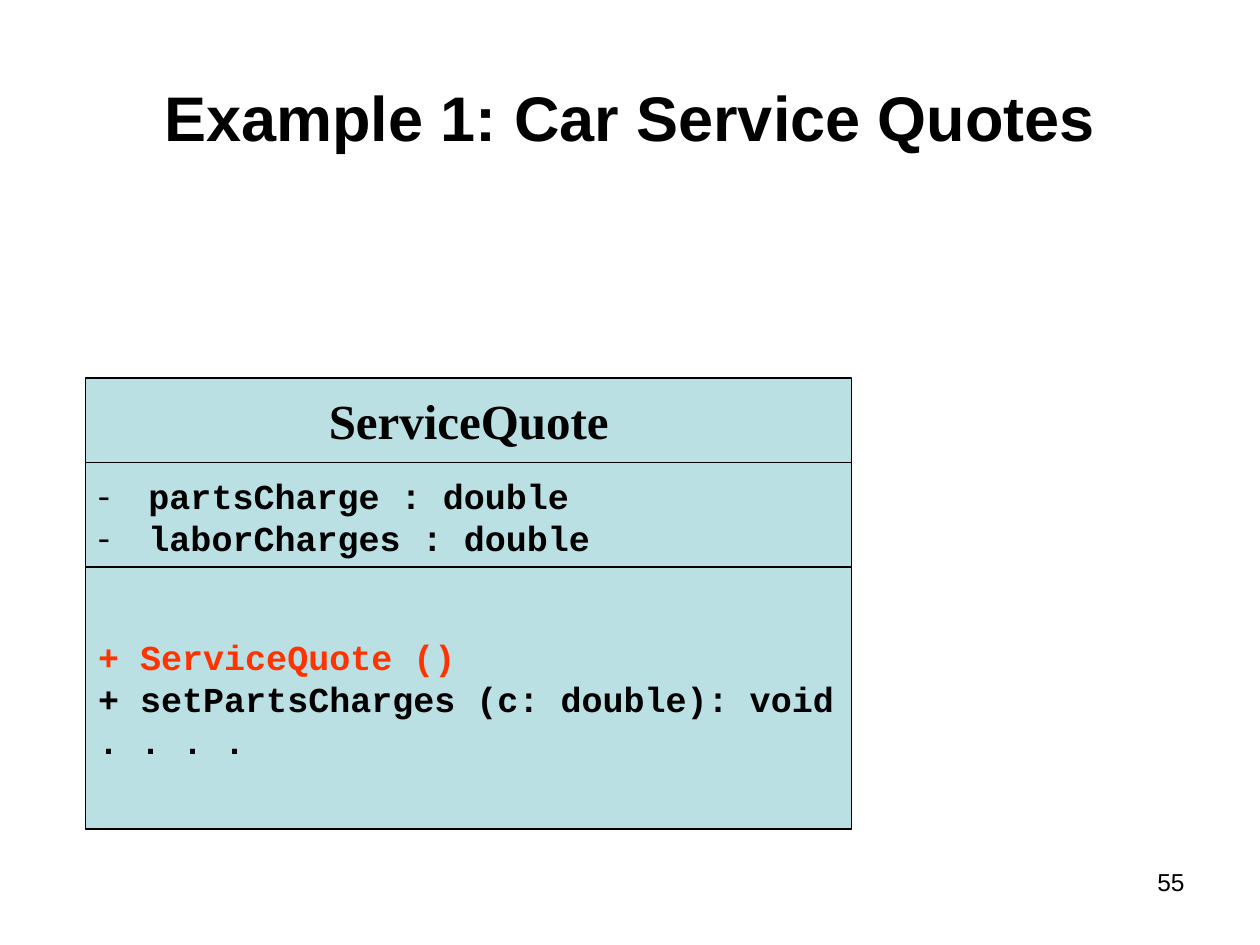
from lxml import etree
from pptx import Presentation
from pptx.dml.color import RGBColor
from pptx.enum.shapes import MSO_SHAPE as Shape
from pptx.enum.text import MSO_ANCHOR as Anchor, PP_ALIGN as Align
from pptx.oxml.ns import qn
from pptx.util import Inches, Pt

BLACK, RED, PALE_BLUE = "000000", "FF3300", "BBE0E3"


def color(value):
    return RGBColor.from_string(value)


def add_dash(para, indent):
    """Give a paragraph a dash bullet with a hanging indent."""
    props = para._p.get_or_add_pPr()
    props.set("marL", str(indent))
    props.set("indent", str(-indent))
    etree.SubElement(props, qn("a:buFont")).set("typeface", "Times New Roman")
    etree.SubElement(props, qn("a:buChar")).set("char", "-")


def write(frame, text, *, size, font="Arial", bold=False, align=Align.LEFT,
          anchor=Anchor.MIDDLE, wrap=True, dashes=False, first_color=BLACK):
    """Write one paragraph for each line of text."""
    frame.word_wrap = wrap
    frame.vertical_anchor = anchor
    for number, line in enumerate(text.split("\n")):
        para = frame.add_paragraph() if number else frame.paragraphs[0]
        para.alignment = align
        if dashes:
            add_dash(para, Inches(0.4))
        span = para.add_run()
        span.text = line
        span.font.name = font
        span.font.size = Pt(size)
        span.font.bold = bold
        span.font.color.rgb = color(BLACK if number else first_color)


def add_text(page, box, text, **text_format):
    write(page.shapes.add_textbox(*map(Inches, box)).text_frame, text, **text_format)


def add_class_diagram(page, box):
    """Stack the name, attribute and method compartments in the box."""
    left, top, width, height = box
    code = dict(size=20, font="Courier New")
    # Offset from the top, height, text, format
    compartments = [
        (0, 0.67, "ServiceQuote",
         dict(size=28, font="Times New Roman", align=Align.CENTER)),
        (0.67, 0.86, "partsCharge : double\nlaborCharges : double",
         dict(code, dashes=True)),
        (1.5, height - 1.5,
         "+ ServiceQuote ()\n+ setPartsCharges (c: double): void\n. . . .",
         dict(code, first_color=RED)),
    ]
    group = page.shapes.add_group_shape()
    for offset, depth, text, text_format in compartments:
        part = group.shapes.add_shape(
            Shape.RECTANGLE, *map(Inches, (left, top + offset, width, depth)))
        part.shadow.inherit = False
        part.fill.solid()
        part.fill.fore_color.rgb = color(PALE_BLUE)
        part.line.color.rgb = color(BLACK)
        part.line.width = Pt(0.75)
        write(part.text_frame, text, bold=True, wrap=False, **text_format)


def main():
    deck = Presentation()
    deck.slide_width, deck.slide_height = Inches(10), Inches(7.5)
    page = deck.slides.add_slide(deck.slide_layouts[6])
    # Page number, class diagram, title
    add_text(page, (7.17, 6.83, 2.33, 0.52), "55", size=14,
             align=Align.RIGHT, anchor=Anchor.TOP)
    add_class_diagram(page, (0.68, 3, 6.08, 3.58))
    add_text(page, (0.5, 0.3, 9, 1.25), "Example 1: Car Service Quotes",
             size=36, bold=True, align=Align.CENTER)
    deck.save("out.pptx")


if __name__ == "__main__":
    main()
